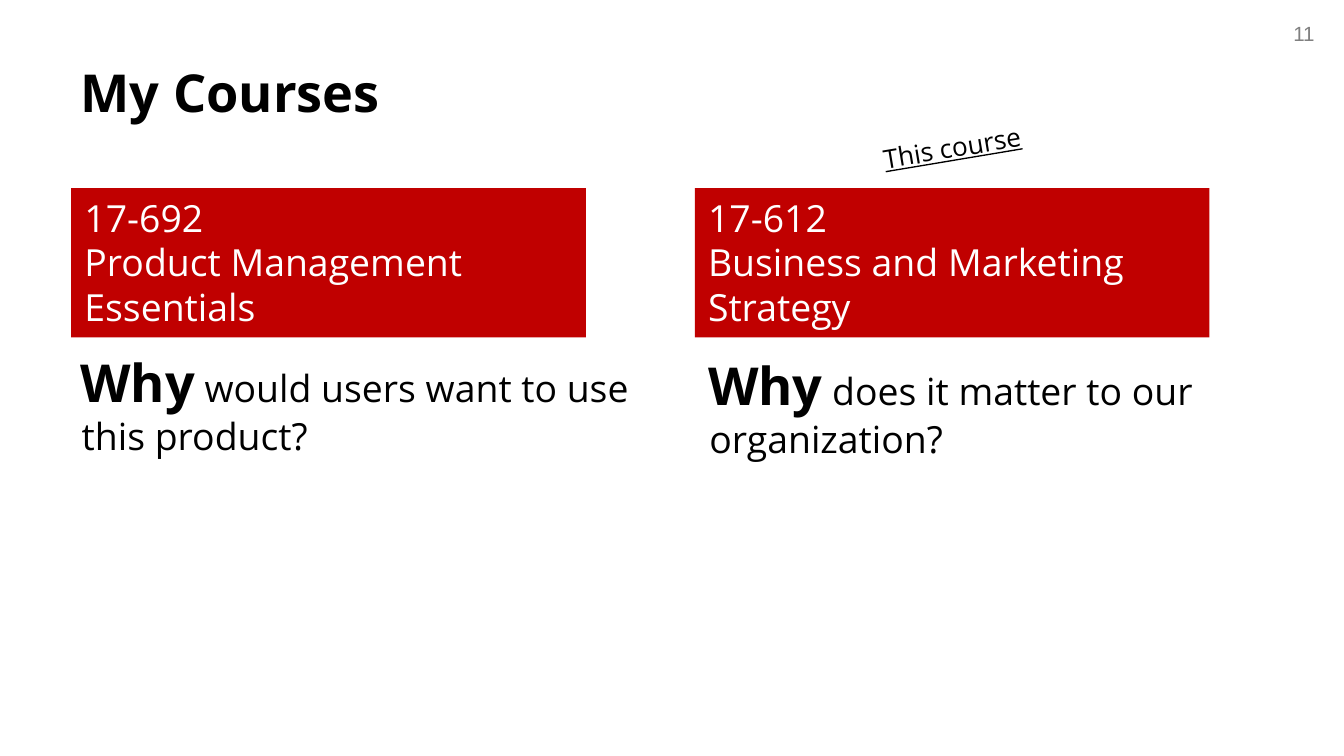
from dataclasses import dataclass

import pptx
import pptx.dml.color
import pptx.enum.shapes
import pptx.enum.text
import pptx.util
from pptx.util import Inches

RGBColor = pptx.dml.color.RGBColor
Align = pptx.enum.text.PP_ALIGN
Anchor = pptx.enum.text.MSO_ANCHOR

RED = RGBColor(0xC0, 0x00, 0x00)
WHITE = RGBColor(0xFF, 0xFF, 0xFF)
BLACK = RGBColor(0x00, 0x00, 0x00)
GRAY = RGBColor(0x80, 0x80, 0x80)
FACE = "Open Sans"


@dataclass
class Course:
    code: str
    name: str
    reason: str
    left: float
    text_left: float
    text_top: float


COURSES = [
    Course("17-692", "Product Management Essentials",
           " would users want to use this product?", 0.53, 0.5, 2.56),
    Course("17-612", "Business and Marketing Strategy",
           " does it matter to our organization?", 5.17, 5.17, 2.58),
]


def style(font, size: float, color: RGBColor, bold: bool = False,
          face: str = FACE) -> None:
    font.name = face
    font.size = pptx.util.Pt(size)
    font.bold = bold
    font.color.rgb = color


def add_text(slide, left: float, top: float, width: float, height: float,
             wrap: bool = True):
    box = slide.shapes.add_textbox(
        Inches(left), Inches(top), Inches(width), Inches(height))
    box.text_frame.word_wrap = wrap
    return box


def add_banner(slide, course: Course) -> None:
    banner = slide.shapes.add_shape(
        pptx.enum.shapes.MSO_SHAPE.RECTANGLE, Inches(course.left),
        Inches(1.4), Inches(3.83), Inches(1.11))
    banner.shadow.inherit = False
    banner.fill.solid()
    banner.fill.fore_color.rgb = RED
    banner.line.fill.background()
    frame = banner.text_frame
    frame.word_wrap = True
    frame.vertical_anchor = Anchor.TOP
    frame.text = f"{course.code}\n{course.name}"
    for line in frame.paragraphs:
        line.alignment = Align.LEFT
        style(line.font, 20, WHITE)


def add_reason(slide, course: Course) -> None:
    box = add_text(slide, course.text_left, course.text_top, 4.33, 2.65)
    line = box.text_frame.paragraphs[0]
    line.space_before = pptx.util.Pt(6)
    props = line._p.get_or_add_pPr()
    props.set("marL", str(Inches(0.01)))
    props.set("indent", str(Inches(-0.01)))
    for text, size, bold in (("Why", 28, True), (course.reason, 20, False)):
        run = line.add_run()
        run.text = text
        style(run.font, size, BLACK, bold)


def add_title(slide) -> None:
    title = slide.shapes.title
    title.left, title.top = Inches(0.5), Inches(0.4)
    title.width, title.height = Inches(9), Inches(0.67)
    title.text_frame.text = "My Courses"
    title.text_frame.vertical_anchor = Anchor.TOP
    line = title.text_frame.paragraphs[0]
    line.alignment = Align.LEFT
    style(line.font, 28, BLACK, True)


def add_number(slide) -> None:
    box = add_text(slide, 9.33, 0.11, 0.55, 0.29)
    box.text_frame.text = "11"
    line = box.text_frame.paragraphs[0]
    line.alignment = Align.RIGHT
    style(line.font, 11, GRAY, face="Arial")


def add_label(slide) -> None:
    label = add_text(slide, 6.47, 0.93, 1.24, 0.34, wrap=False)
    label.rotation = 350.5
    label.text_frame.text = "This course"
    font = label.text_frame.paragraphs[0].font
    style(font, 14, BLACK)
    font.underline = True


def main() -> None:
    deck = pptx.Presentation()
    deck.slide_width = Inches(10)
    deck.slide_height = deck.slide_width * 9 // 16
    slide = deck.slides.add_slide(deck.slide_layouts[5])
    add_number(slide)
    add_title(slide)
    for course in COURSES:
        add_reason(slide, course)
        add_banner(slide, course)
    add_label(slide)
    deck.save("out.pptx")


if __name__ == "__main__":
    main()
